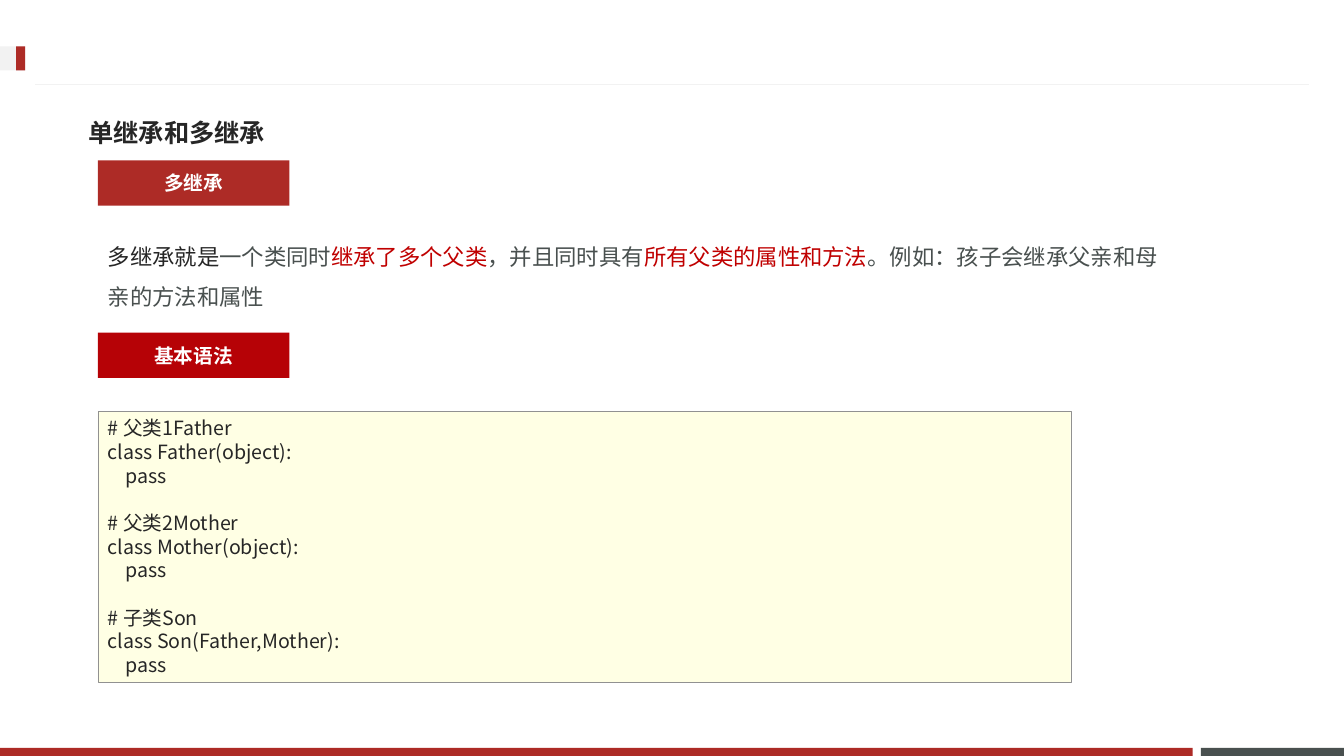
from lxml.etree import SubElement
from pptx import Presentation
from pptx.dml.color import RGBColor
from pptx.enum.shapes import MSO_CONNECTOR, MSO_SHAPE
from pptx.enum.text import MSO_ANCHOR, PP_ALIGN
from pptx.oxml.ns import qn
from pptx.util import Inches, Pt

COLORS = {
    "red": "AD2B26",
    "deep": "B60206",
    "accent": "C00000",
    "slate": "49504F",
    "ink": "262626",
    "pale": "F2F2F2",
    "cream": "FFFFE4",
    "edge": "919191",
    "white": "FFFFFF",
}
SANS = "Noto Sans CJK JP"
INTRO = [
    ("多继承就是", "ink"),
    ("一个类同时", "slate"),
    ("继承了多个父类", "accent"),
    ("，并且同时具有", "slate"),
    ("所有父类的属性和方法", "accent"),
    ("。例如：孩子会继承父亲和母亲的方法和属性", "slate"),
]
CODE = [
    "# 父类1Father",
    "class Father(object):",
    "    pass",
    "# 父类2Mother",
    "class Mother(object):",
    "    pass",
    "# 子类Son",
    "class Son(Father,Mother):",
    "    pass",
]


def paint(name):
    return RGBColor.from_string(COLORS[name])


def style(font, face, size, color, bold=False):
    font.name = face
    font.size = Pt(size)
    font.bold = bold
    font.color.rgb = paint(color)


def add_rect(slide, box, fill):
    rect = slide.shapes.add_shape(MSO_SHAPE.RECTANGLE, *map(Inches, box))
    rect.shadow.inherit = False
    rect.fill.solid()
    rect.fill.fore_color.rgb = paint(fill)
    rect.line.fill.background()
    return rect


def add_rule(slide, left, right, top):
    rule = slide.shapes.add_connector(
        MSO_CONNECTOR.STRAIGHT, Inches(left), Inches(top), Inches(right), Inches(top)
    )
    rule.line.color.rgb = paint("pale")
    rule.line.width = Pt(0.75)
    SubElement(rule._element.spPr, qn("a:effectLst"))


def add_text(slide, box):
    frame = slide.shapes.add_textbox(*map(Inches, box)).text_frame
    frame.word_wrap = True
    return frame


def add_title(slide, text):
    frame = add_text(slide, (0.78, 1.03, 11.7, 0.57))
    frame.vertical_anchor = MSO_ANCHOR.MIDDLE
    para = frame.paragraphs[0]
    para.text = text
    style(para.font, SANS, 18, "ink", True)


def add_intro(slide):
    para = add_text(slide, (0.97, 2.23, 10.78, 0.86)).paragraphs[0]
    para.line_spacing = 1.5
    para.font.name = "Calibri"
    para.font.size = Pt(16)
    for text, color in INTRO:
        run = para.add_run()
        run.text = text
        style(run.font, "Calibri", 16, color)


def add_label(slide, top, text, fill):
    frame = add_rect(slide, (0.97, top, 1.9, 0.45), fill).text_frame
    frame.vertical_anchor = MSO_ANCHOR.MIDDLE
    para = frame.paragraphs[0]
    para.text = text
    para.alignment = PP_ALIGN.CENTER
    style(para.font, "Roboto", 14, "white", True)


def add_code(slide):
    panel = add_rect(slide, (0.97, 4.08, 9.65, 2.69), "cream")
    panel.line.color.rgb = paint("edge")
    panel.line.width = Pt(0.25)
    frame = panel.text_frame
    frame.vertical_anchor = MSO_ANCHOR.TOP
    pitch = Pt(16.9)
    for index, text in enumerate(CODE):
        para = frame.add_paragraph() if index else frame.paragraphs[0]
        para.text = text
        para.alignment = PP_ALIGN.LEFT
        para.line_spacing = pitch
        if index and text.startswith("#"):
            para.space_before = pitch
        style(para.font, SANS, 14, "ink")


def add_frame(slide):
    add_rect(slide, (11.91, 7.42, 1.42, 0.08), "slate")
    add_rect(slide, (0, 7.42, 11.83, 0.08), "red")
    add_rule(slide, 0.35, 12.98, 0.84)
    add_rect(slide, (0, 0.46, 0.25, 0.24), "pale")
    add_rect(slide, (0.16, 0.46, 0.09, 0.24), "red")


def main():
    deck = Presentation()
    deck.slide_width = Inches(13.33)
    deck.slide_height = Inches(7.5)
    slide = deck.slides.add_slide(deck.slide_layouts[6])
    add_frame(slide)
    add_intro(slide)
    add_title(slide, "单继承和多继承")
    add_label(slide, 1.59, "多继承", "red")
    add_code(slide)
    add_label(slide, 3.3, "基本语法", "deep")
    deck.save("out.pptx")


if __name__ == "__main__":
    main()
